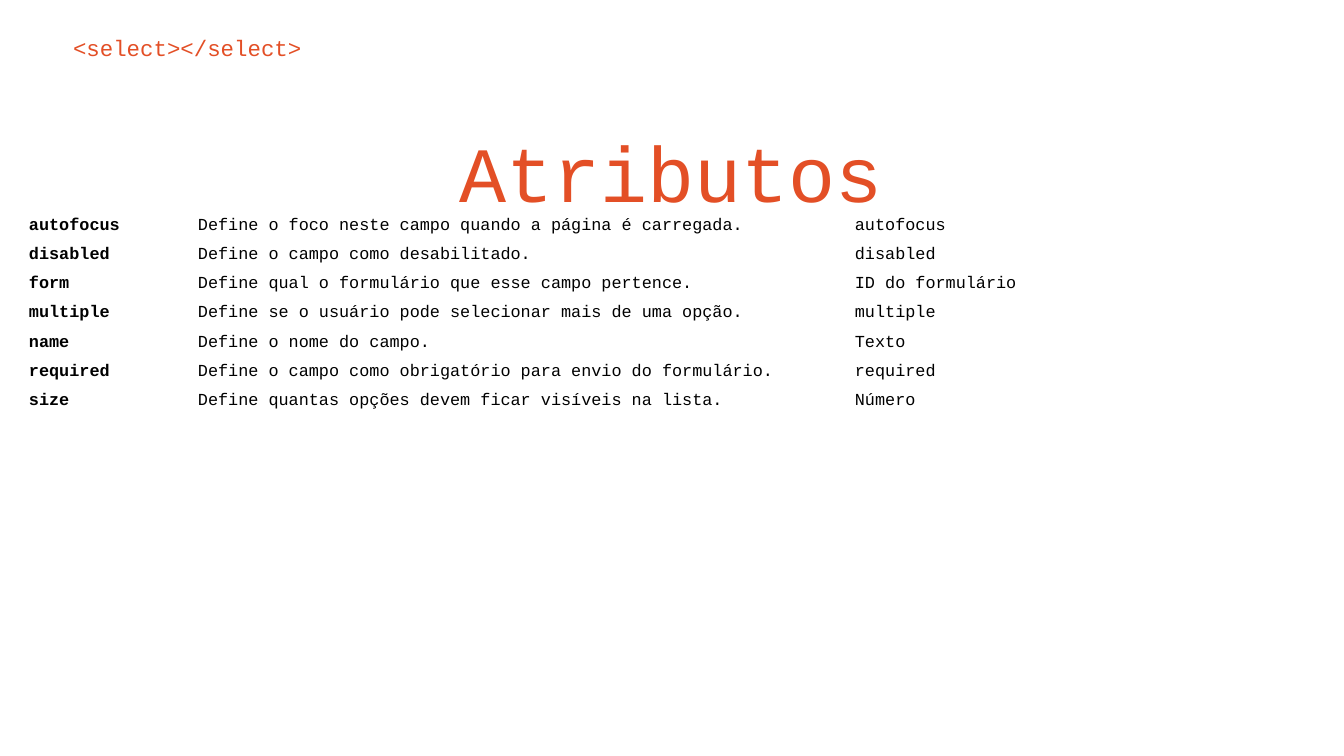
from dataclasses import dataclass

from pptx import Presentation
from pptx.dml.color import RGBColor
from pptx.enum.text import MSO_ANCHOR, MSO_AUTO_SIZE, PP_ALIGN
from pptx.util import Emu, Pt

TAG = "<select></select>"
HEADING = "Atributos"
ATTRIBUTES = [
    ("autofocus", "Define o foco neste campo quando a página é carregada.", "autofocus"),
    ("disabled", "Define o campo como desabilitado.", "disabled"),
    ("form", "Define qual o formulário que esse campo pertence.", "ID do formulário"),
    ("multiple", "Define se o usuário pode selecionar mais de uma opção.", "multiple"),
    ("name", "Define o nome do campo.", "Texto"),
    ("required", "Define o campo como obrigatório para envio do formulário.", "required"),
    ("size", "Define quantas opções devem ficar visíveis na lista.", "Número"),
]
COLUMN_WIDTHS = (169, 657, 453)
ROW_HEIGHT = 27


@dataclass(frozen=True)
class Theme:
    font: str = "Courier New"
    accent: RGBColor = RGBColor(0xE3, 0x4F, 0x26)
    ink: RGBColor = RGBColor(0, 0, 0)
    tag_size: int = 12
    heading_size: int = 42
    table_size: int = 9
    line_spacing: float = 1.15


THEME = Theme()


def px(length):
    return Emu(round(length * 914400 / 134.4))


def set_insets(area, inset):
    area.margin_left = area.margin_right = px(inset)
    area.margin_top = area.margin_bottom = px(inset)


def write(frame, text, size, color, bold=False, align=PP_ALIGN.LEFT):
    frame.text = text
    paragraph = frame.paragraphs[0]
    paragraph.alignment = align
    font = paragraph.runs[0].font
    font.name, font.size, font.bold = THEME.font, Pt(size), bold
    font.color.rgb = color


def write_heading(shape, box, text, size, align):
    shape.left, shape.top, shape.width, shape.height = map(px, box)
    frame = shape.text_frame
    frame.word_wrap = True
    frame.auto_size = MSO_AUTO_SIZE.NONE
    frame.vertical_anchor = MSO_ANCHOR.TOP
    set_insets(frame, 13)
    write(frame, text, size, THEME.accent, align=align)
    frame.paragraphs[0].line_spacing = THEME.line_spacing


def add_attributes(slide, left, top):
    table = slide.shapes.add_table(
        len(ATTRIBUTES), len(COLUMN_WIDTHS), px(left), px(top),
        px(sum(COLUMN_WIDTHS)), px(ROW_HEIGHT * len(ATTRIBUTES)),
    ).table
    table.first_row = table.horz_banding = False
    for column, width in zip(table.columns, COLUMN_WIDTHS):
        column.width = px(width)
    for r, attribute in enumerate(ATTRIBUTES):
        for c, text in enumerate(attribute):
            cell = table.cell(r, c)
            cell.fill.background()
            set_insets(cell, 5)
            write(cell.text_frame, text, THEME.table_size, THEME.ink, bold=c == 0)


def main():
    deck = Presentation()
    deck.slide_width, deck.slide_height = px(1344), px(756)
    slide = deck.slides.add_slide(deck.slide_layouts[5])
    tag = slide.shapes.add_textbox(0, 0, 0, 0)
    write_heading(tag, (60, 17, 1234, 56), TAG, THEME.tag_size, PP_ALIGN.LEFT)
    write_heading(slide.shapes.title, (95, 97, 1152, 116), HEADING,
                  THEME.heading_size, PP_ALIGN.CENTER)
    add_attributes(slide, 24, 212)
    deck.save("out.pptx")


if __name__ == "__main__":
    main()
